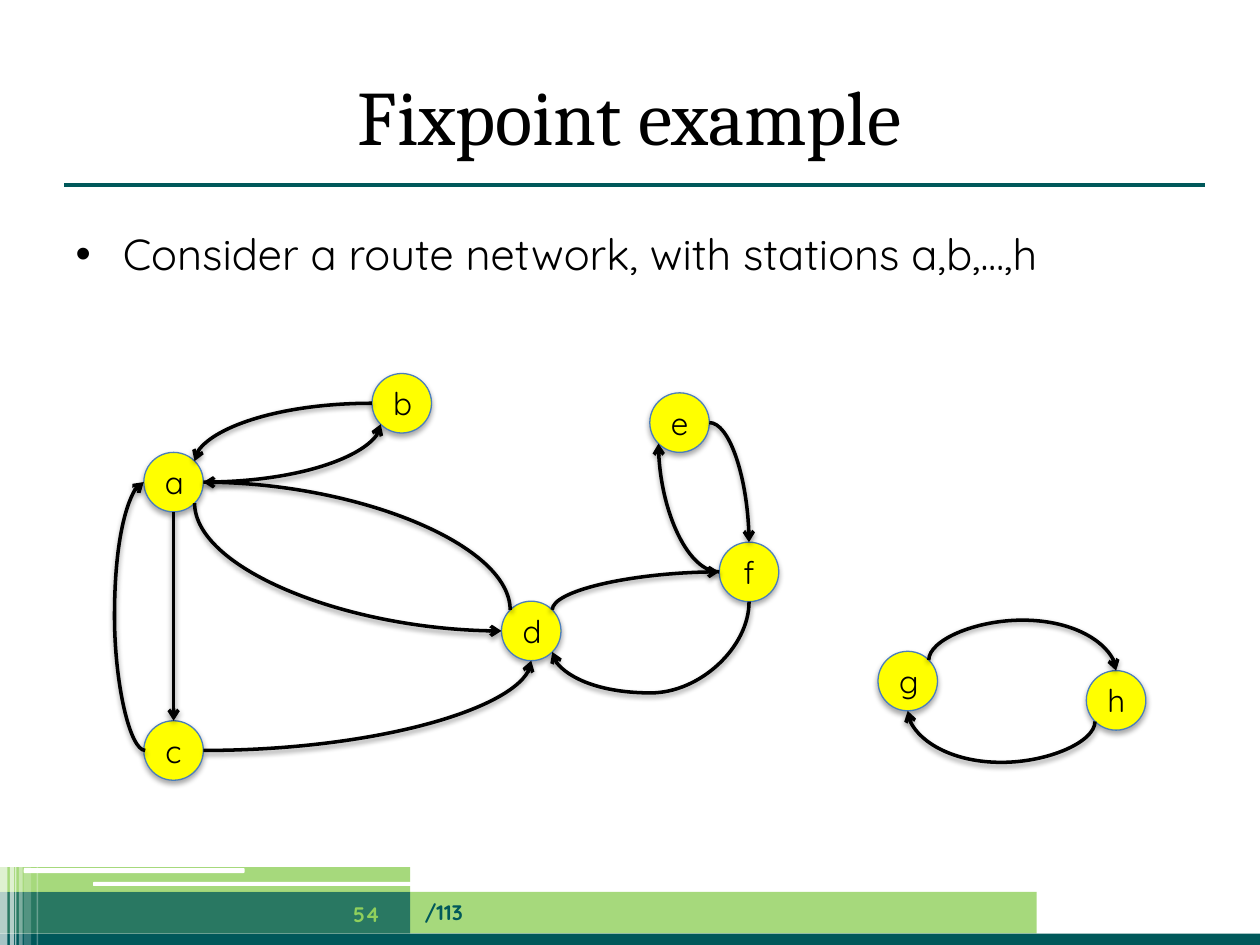
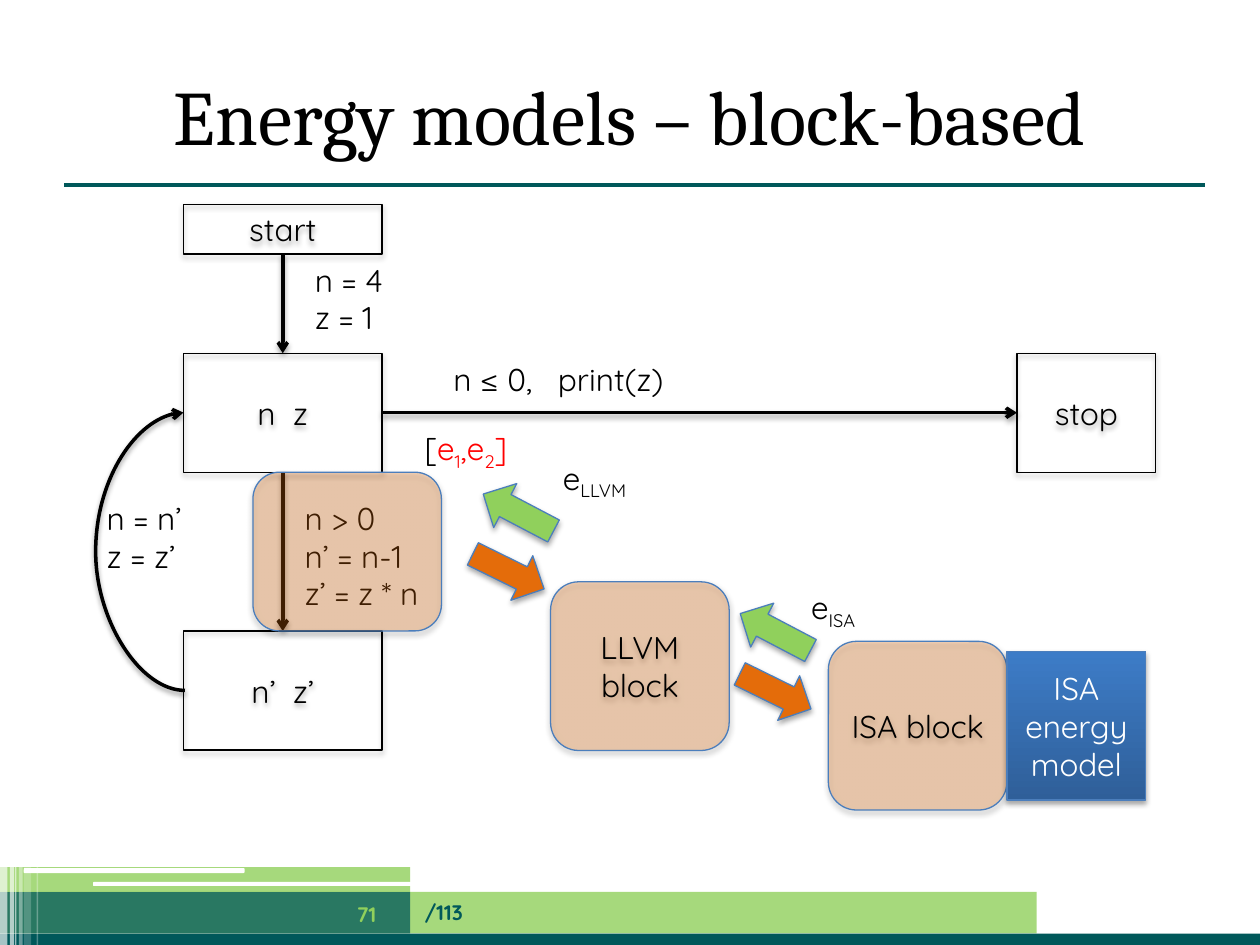
from math import cos, pi, sin

from lxml.etree import SubElement
from pptx import Presentation
from pptx.dml.color import RGBColor
from pptx.enum.shapes import MSO_CONNECTOR, MSO_SHAPE
from pptx.enum.text import MSO_ANCHOR, MSO_AUTO_SIZE, PP_ALIGN
from pptx.oxml.ns import qn
from pptx.util import Cm, Pt

BLACK, WHITE, RED = "000000", "FFFFFF", "FF0000"
TEAL, GREEN, ORANGE = "00585A", "90D05C", "E46C0A"
YELLOW, BLUE = "FFFF00", "4B7EBC"
SERIF, SANS = "Cambria", "Quicksand"
RECT, ROUND = MSO_SHAPE.RECTANGLE, MSO_SHAPE.ROUNDED_RECTANGLE
OVAL, ARROW = MSO_SHAPE.OVAL, MSO_SHAPE.RIGHT_ARROW

# Footer: kind, left, top, width, height, colour, opacity
BANDS = [
    (RECT, 0, 17.98, 20.9, 0.84, GREEN, 80),
    (RECT, 0, 18.82, 25.4, 0.23, TEAL, 100),
    (RECT, 0, 17.98, 8.27, 0.84, TEAL, 75),
    (RECT, 0, 17.48, 8.27, 0.5, GREEN, 80),
    (ROUND, 1.88, 17.78, 8.5, 0.08, WHITE, 100),
    (ROUND, 0.48, 17.5, 4.45, 0.1, WHITE, 100),
]
STRIPES = [(0, 0.15, 65), (0.2, 0.08, 65), (0.3, 0.03, 60),
           (0.38, 0.08, 40), (0.48, 0.15, 20), (0.74, 0.03, 30)]

# Route network: station centres, then edges between the eight sites of an
# oval (0 top, counted anticlockwise): start, site, end, site, first axis, bend
SIZE = 1.2
STATIONS = {"a": (3.5, 9.72), "c": (3.5, 15.13), "b": (8.1, 8.13),
            "d": (10.71, 12.72), "e": (13.7, 8.52), "g": (18.3, 13.73),
            "f": (15.1, 11.53), "h": (22.5, 14.12)}
ROUTES = [
    ("g", 7, "h", 0, "v", 12.5), ("h", 3, "g", 4, "v", 15.37),
    ("a", 6, "b", 3, "h", None), ("a", 4, "c", 0, "v", 12.42),
    ("a", 5, "d", 2, "v", None), ("c", 6, "d", 4, "h", None),
    ("b", 2, "a", 7, "h", None), ("c", 2, "a", 2, "h", 2.31),
    ("d", 1, "a", 6, "v", None), ("d", 7, "f", 2, "v", None),
    ("f", 4, "d", 5, "v", 13.97), ("e", 6, "f", 0, "h", None),
    ("f", 2, "e", 3, "h", None),
]

# Flow chart
STEPS = {"start": (3.7, 4.12, 4, 1), "n  z": (3.7, 7.12, 4, 2.4),
         "n’  z’": (3.7, 12.72, 4, 2.4), "stop": (20.5, 7.12, 2.8, 2.4)}
FLOWS = [("start", 2, "n  z", 0), ("n  z", 2, "n’  z’", 0),
         ("n  z", 3, "stop", 1)]
NOTES = [
    ((6.1, 5.13, 2, 1.8), ["n = 4", "z = 1"]),
    ((5.89, 9.93, 3.05, 2.57), ["n > 0", "n’ = n-1", "z’ = z * n"]),
    ((1.9, 9.93, 2.26, 1.8), ["n = n’", "z = z’"]),
    ((8.89, 7.14, 4.8, 1.02), ["n ≤ 0,   print(z)"]),
]
BLOCKS = [((5.1, 9.52, 3.8, 3.2), ""), ((11.1, 11.73, 3.6, 3.4), "LLVM block"),
          ((16.7, 12.93, 3.6, 3.4), "ISA block")]
MOVES = [(9.45, 11.02, 26.2, ORANGE), (14.83, 13.44, 26.2, ORANGE),
         (14.83, 12.24, 207.7, GREEN), (9.65, 9.83, 207.7, GREEN)]
# Runs: text, colour, subscript
COSTS = [
    ((16.1, 11.73, 1.55, 1.02), [("e", BLACK, 0), ("ISA", BLACK, 1)]),
    ((11.1, 9.12, 1.98, 1.02), [("e", BLACK, 0), ("LLVM", BLACK, 1)]),
    ((8.31, 8.53, 2.44, 1.02),
     [("[", BLACK, 0), ("e", RED, 0), ("1", RED, 1), (",e", RED, 0),
      ("2", RED, 1), ("]", RED, 0)]),
]


def rgb(code):
    return RGBColor.from_string(code)


def write(frame, lines, size=18, font=SANS, color=BLACK, bold=False,
          align=None, anchor=None, wrap=True):
    """Fill a text frame; a line is a string or a list of runs."""
    frame.word_wrap = wrap
    frame.auto_size = MSO_AUTO_SIZE.NONE
    if anchor is not None:
        frame.vertical_anchor = anchor
    for i, line in enumerate(lines):
        para = frame.add_paragraph() if i else frame.paragraphs[0]
        if align is not None:
            para.alignment = align
        for words, tint, sub in [(line, color, 0)] if isinstance(line, str) else line:
            run = para.add_run()
            run.text = words
            run.font.size, run.font.name, run.font.bold = Pt(size), font, bold
            run.font.color.rgb = rgb(tint)
            if sub:
                run.font._element.set("baseline", "-25000")


def place(item, box):
    item.left, item.top, item.width, item.height = map(Cm, box)


def label(slide, box, lines, **form):
    write(slide.shapes.add_textbox(*map(Cm, box)).text_frame, lines, **form)


def fade(color, percent):
    SubElement(color, qn("a:alpha")).set("val", str(percent * 1000))


def shade(item, percent, dist):
    """Give a soft shadow that falls straight down."""
    glow = SubElement(item.element.spPr.get_or_add_effectLst(),
                      qn("a:outerShdw"), blurRad="40000", dist=str(dist),
                      dir="5400000", rotWithShape="0")
    color = SubElement(glow, qn("a:srgbClr"), val=BLACK)
    fade(color, percent)


def draw(slide, kind, box, fill=None, alpha=100, line=None, text="",
         color=BLACK, shadow=True):
    shape = slide.shapes.add_shape(kind, *map(Cm, box))
    if fill is None:
        shape.fill.background()
    else:
        shape.fill.solid()
        shape.fill.fore_color.rgb = rgb(fill)
        if alpha < 100:
            fade(shape.element.spPr.xpath("./a:solidFill/a:srgbClr")[0], alpha)
    if line:
        shape.line.color.rgb = rgb(line)
        shape.line.width = Pt(0.75)
    else:
        shape.line.fill.background()
    shape.shadow.inherit = False
    if shadow:
        shade(shape, 35, 23000)
    if text:
        write(shape.text_frame, [text], color=color, align=PP_ALIGN.CENTER,
              anchor=MSO_ANCHOR.MIDDLE)
    return shape


def ink(wire):
    """Format a connector as a black arrow."""
    wire.line.color.rgb = rgb(BLACK)
    wire.line.width = Pt(2)
    SubElement(wire.element.spPr.get_or_add_ln(), qn("a:tailEnd"), type="arrow")
    shade(wire, 38, 20000)


def site(shape, index):
    """Point of a connection site, counted anticlockwise from the top."""
    count = 8 if shape.auto_shape_type == OVAL else 4
    turn = -pi / 2 - 2 * pi * index / count
    return (shape.left + shape.width * (1 + cos(turn)) / 2,
            shape.top + shape.height * (1 + sin(turn)) / 2)


def curve(slide, first, out, last, into, axis, bend=None):
    """Curved arrow leaving along axis; bend is where it turns back, in cm."""
    (x1, y1), (x2, y2) = site(first, out), site(last, into)
    if bend and axis == "h" and abs(x2 - x1) < Cm(0.03):
        x1 += Cm(0.03)
    mx, my, dx, dy = (x1 + x2) / 2, (y1 + y2) / 2, x2 - x1, y2 - y1
    ends = x1, y1, x2, y2
    if axis == "v":
        ends = mx - dy / 2, my + dx / 2, mx + dy / 2, my - dx / 2
    wire = slide.shapes.add_connector(MSO_CONNECTOR.CURVE, *map(round, ends))
    props = wire.element.spPr
    if axis == "v":
        props.xfrm.rot = 90
    shape = props.xpath("./a:prstGeom")[0]
    if bend is None:
        shape.set("prst", "curvedConnector2")
    else:
        ratio = (Cm(bend) - x1) / dx if axis == "h" else (Cm(bend) - y1) / dy
        SubElement(shape.get_or_add_avLst(), qn("a:gd"), name="adj1",
                   fmla=f"val {round(ratio * 100000)}")
    joint = wire.element.nvCxnSpPr.cNvCxnSpPr
    for end, part, index in ((joint.get_or_add_stCxn(), first, out),
                             (joint.get_or_add_endCxn(), last, into)):
        end.set("id", str(part.shape_id))
        end.set("idx", str(index))
    ink(wire)


def frame(prs, slide):
    """Draw the shared bands and rule, and move them to the master."""
    stripes = [(RECT, x, 17.42, w, 1.63, WHITE, a) for x, w, a in STRIPES]
    for kind, x, y, w, h, fill, alpha in BANDS + stripes:
        draw(slide, kind, (x, y, w, h), fill, alpha, shadow=False)
    rule = slide.shapes.add_connector(
        MSO_CONNECTOR.STRAIGHT, *map(Cm, (1.3, 3.73, 24.3, 3.73)))
    rule.line.color.rgb = rgb(TEAL)
    rule.line.width = Pt(2.25)
    rule.element.spPr.get_or_add_effectLst()
    label(slide, (8.31, 17.88, 12.6, 1.02), ["/113"], size=12, color=TEAL,
          bold=True, anchor=MSO_ANCHOR.MIDDLE)
    parts = [s for s in slide.shapes if not s.is_placeholder]
    for number, part in enumerate(parts, 100):
        part.element.xpath(".//p:cNvPr")[0].set("id", str(number))
        prs.slide_master.shapes.element.append(part.element)


def start(prs, layout, title, page):
    slide = prs.slides.add_slide(prs.slide_layouts[layout])
    if len(prs.slides) == 1:
        frame(prs, slide)
    place(slide.shapes.title, (1.27, 1.12, 22.86, 2.39))
    write(slide.shapes.title.text_frame, [title], size=44, font=SERIF,
          align=PP_ALIGN.CENTER, anchor=MSO_ANCHOR.MIDDLE)
    label(slide, (6.5, 17.91, 1.78, 1.02), [page], size=12, color=GREEN,
          bold=True, align=PP_ALIGN.CENTER, anchor=MSO_ANCHOR.MIDDLE)
    return slide


def network(prs):
    slide = start(prs, 1, "Fixpoint example", "54")
    body = slide.placeholders[1]
    place(body, (1.27, 4.45, 22.86, 1.88))
    write(body.text_frame, ["Consider a route network, with stations a,b,...,h"],
          size=24.8)
    nodes = {name: draw(slide, OVAL, (x - SIZE / 2, y - SIZE / 2, SIZE, SIZE),
                        YELLOW, line=BLUE, text=name)
             for name, (x, y) in STATIONS.items()}
    for first, out, last, into, axis, bend in ROUTES:
        curve(slide, nodes[first], out, nodes[last], into, axis, bend)


def energy(prs):
    slide = start(prs, 5, "Energy models – block-based", "71")
    steps = {name: draw(slide, RECT, box, line=BLACK, text=name)
             for name, box in STEPS.items()}
    for first, out, last, into in FLOWS:
        wire = slide.shapes.add_connector(MSO_CONNECTOR.STRAIGHT, 0, 0, 0, 0)
        wire.begin_connect(steps[first], out)
        wire.end_connect(steps[last], into)
        ink(wire)
    curve(slide, steps["n’  z’"], 1, steps["n  z"], 1, "h", 1.93)
    for box, lines in NOTES:
        label(slide, box, lines, wrap=False)
    for box, text in BLOCKS:
        draw(slide, ROUND, box, ORANGE, 28, BLUE, text)
    for x, y, turn, fill in MOVES:
        draw(slide, ARROW, (x, y, 1.6, 1), fill, line=BLUE).rotation = turn
    model = draw(slide, RECT, (20.3, 13.13, 2.8, 3), BLUE, line=BLUE,
                 text="ISA energy model", color=WHITE)
    model.fill.gradient()
    model.fill.gradient_angle = 90
    for stop, code in zip(model.fill.gradient_stops, ("2F5F99", "3D7CC7")):
        stop.color.rgb = rgb(code)
    for box, runs in COSTS:
        label(slide, box, [runs], wrap=False)


def main():
    prs = Presentation()
    prs.slide_width, prs.slide_height = Cm(25.4), Cm(19.05)
    network(prs)
    energy(prs)
    prs.save("out.pptx")


if __name__ == "__main__":
    main()
